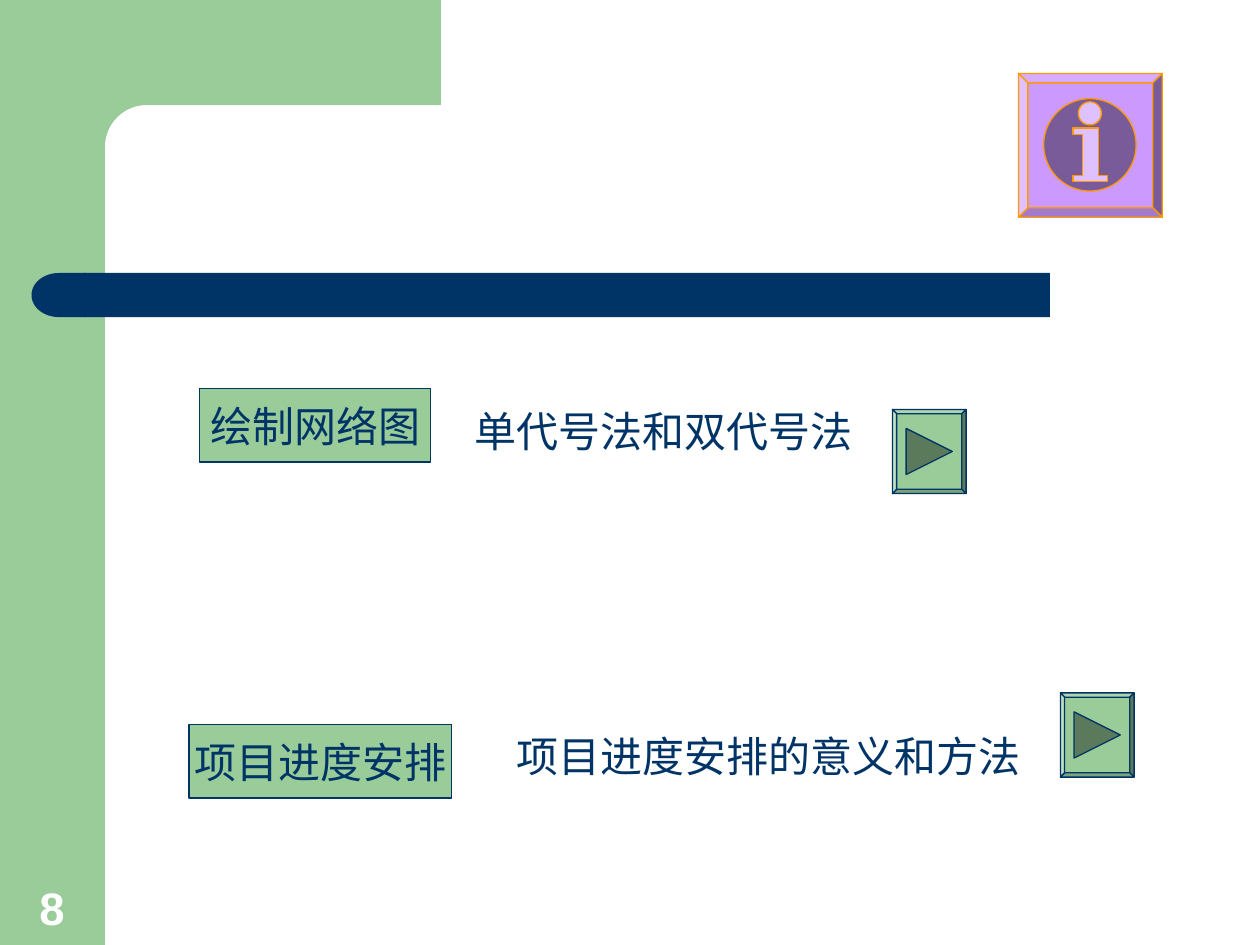
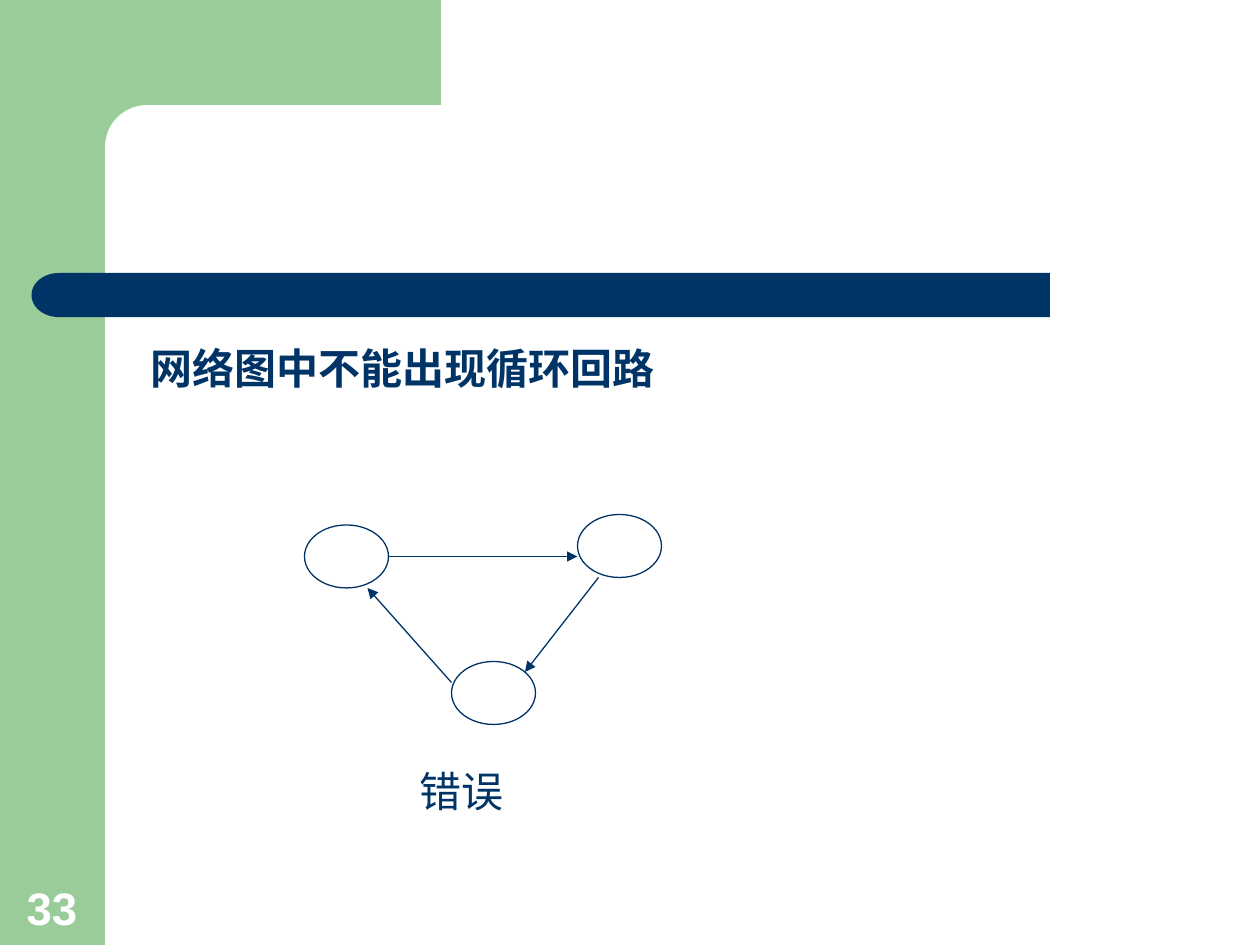
import dataclasses
from typing import Any, Sequence

import lxml.etree
import pptx
import pptx.dml.color
import pptx.enum.shapes
import pptx.enum.text
import pptx.oxml
import pptx.oxml.ns
import pptx.util

PX = 7620  # EMU in one px, 120 px to the inch
SHAPE = pptx.enum.shapes.MSO_SHAPE
ALIGN = pptx.enum.text.PP_ALIGN
ANCHOR = pptx.enum.text.MSO_ANCHOR
HALF_TURN = "10800000"
Point = tuple[int, int]


@dataclasses.dataclass(frozen=True)
class Theme:
    green: str = "99CC99"
    navy: str = "003366"
    white: str = "FFFFFF"
    violet: str = "CC99FF"
    orange: str = "FF9900"
    body_font: str = "Times New Roman"
    chinese_font: str = "Noto Sans CJK SC"
    number_font: str = "Arial"
    body_size: int = 24
    number_size: int = 26
    line_width: float = 0.75


THEME = Theme()


@dataclasses.dataclass(frozen=True)
class Box:
    left: int
    top: int
    width: int
    height: int

    @property
    def center(self) -> Point:
        return self.left + self.width // 2, self.top + self.height // 2

    def corners(self, inset: int = 0) -> tuple[Point, ...]:
        left, top = self.left + inset, self.top + inset
        right, bottom = self.left + self.width - inset, self.top + self.height - inset
        return (left, top), (right, top), (right, bottom), (left, bottom)

    def emu(self) -> tuple[int, int, int, int]:
        return self.left * PX, self.top * PX, self.width * PX, self.height * PX


@dataclasses.dataclass(frozen=True)
class Face:
    """A part of a button; a round face has the two ends of its diameter as points."""
    points: Sequence[Point]
    shade: str
    round: bool = False


@dataclasses.dataclass(frozen=True)
class Topic:
    name: str
    name_box: Box
    summary: str
    summary_box: Box
    button: Box


TOPICS = (
    Topic("绘制网络图", Box(190, 370, 220, 70),
          "单代号法和双代号法", Box(440, 380, 570, 60), Box(850, 390, 70, 80)),
    Topic("项目进度安排", Box(180, 690, 250, 70),
          "项目进度安排的意义和方法", Box(480, 690, 590, 60), Box(1010, 660, 70, 80)),
)
EVENTS = (Box(290, 500, 80, 60), Box(430, 630, 80, 60), Box(550, 490, 80, 60))
ACTIVITIES = (
    ((370, 530), (550, 530)),
    ((570, 550), (500, 640)),
    ((430, 650), (350, 560)),
)
# Outline of the letter's stem, measured from the centre of the button
INFO_STEM = ((-16, -16), (8, -16), (8, 29), (17, 29), (17, 35),
             (-16, 35), (-16, 29), (-7, 29), (-7, -10), (-16, -10))


def rgb(color: str) -> pptx.dml.color.RGBColor:
    return pptx.dml.color.RGBColor.from_string(color)


def paint(shape: Any, fill: str, line: str | None = None) -> None:
    shape.shadow.inherit = False
    shape.fill.solid()
    shape.fill.fore_color.rgb = rgb(fill)
    if line is None:
        shape.line.fill.background()
    else:
        shape.line.color.rgb = rgb(line)
        shape.line.width = pptx.util.Pt(THEME.line_width)


def add_preset(slide: Any, kind: Any, box: Box, fill: str, line: str | None = None) -> Any:
    shape = slide.shapes.add_shape(kind, *box.emu())
    paint(shape, fill, line)
    return shape


def write(shape: Any, text: str, *, font: str = THEME.body_font,
          size: int = THEME.body_size, color: str = THEME.navy, bold: bool = False,
          align: Any = ALIGN.LEFT, anchor: Any = ANCHOR.TOP, wrap: bool = False) -> None:
    frame = shape.text_frame
    frame.text = text
    frame.auto_size = pptx.enum.text.MSO_AUTO_SIZE.NONE
    frame.word_wrap = wrap
    frame.vertical_anchor = anchor
    frame.paragraphs[0].alignment = align
    run = frame.paragraphs[0].runs[0]
    run.font.name, run.font.size, run.font.bold = font, pptx.util.Pt(size), bold
    run.font.color.rgb = rgb(color)
    east_asian = pptx.oxml.parse_xml(
        f'<a:ea {pptx.oxml.ns.nsdecls("a")} typeface="{THEME.chinese_font}"/>')
    run.font._element.find(pptx.oxml.ns.qn("a:latin")).addnext(east_asian)


def add_text(slide: Any, box: Box, text: str, **style: Any) -> None:
    write(slide.shapes.add_textbox(*box.emu()), text, **style)


def add_arrow(slide: Any, start: Point, end: Point) -> None:
    ends = (value * PX for value in (*start, *end))
    arrow = slide.shapes.add_connector(pptx.enum.shapes.MSO_CONNECTOR.STRAIGHT, *ends)
    arrow.line.color.rgb = rgb(THEME.navy)
    arrow.line.width = pptx.util.Pt(THEME.line_width)
    namespace = pptx.oxml.ns.nsdecls("a")
    arrow.line._get_or_add_ln().append(
        pptx.oxml.parse_xml(f'<a:tailEnd {namespace} type="triangle"/>'))
    arrow._element.spPr.append(pptx.oxml.parse_xml(f"<a:effectLst {namespace}/>"))


def shade_faces(button: Any, faces: Sequence[Face]) -> None:
    """Give each contour of a freeform its own shade, and bend the round ones."""
    qn = pptx.oxml.ns.qn
    outline = next(button._element.iter(qn("a:path")))
    steps = iter(list(outline))
    for face in faces:
        contour = lxml.etree.SubElement(outline.getparent(), qn("a:path"), {
            "w": outline.get("w"), "h": outline.get("h"), "fill": face.shade})
        for _ in range(len(face.points) + 1):
            contour.append(next(steps))
        if face.round:
            contour.remove(contour[1])
            radius = str((face.points[1][0] - face.points[0][0]) // 2)
            for position, start in ((1, HALF_TURN), (2, "0")):
                arc = lxml.etree.Element(qn("a:arcTo"), {
                    "wR": radius, "hR": radius, "stAng": start, "swAng": HALF_TURN})
                contour.insert(position, arc)
    outline.getparent().remove(outline)


def add_button(slide: Any, box: Box, symbol: Sequence[Face], fill: str, line: str) -> None:
    """Draw a raised button with its symbol as one shape."""
    outer, inner = box.corners(), box.corners(round(min(box.width, box.height) / 16))
    faces = [Face(outer, "norm")]
    for side, shade in enumerate(("lightenLess", "darken", "darkenLess", "lighten")):
        following = (side + 1) % 4
        faces.append(Face((outer[side], outer[following], inner[following], inner[side]), shade))
    faces.extend(symbol)
    builder = slide.shapes.build_freeform(*outer[0], scale=PX)
    for index, face in enumerate(faces):
        if index:
            builder.move_to(*face.points[0])
        builder.add_line_segments(face.points[1:], close=True)
    button = builder.convert_to_shape()
    shade_faces(button, faces)
    paint(button, fill, line)


def symbol_radius(box: Box) -> int:
    return int(min(box.width, box.height) * 0.325)


def add_next_button(slide: Any, box: Box) -> None:
    radius = symbol_radius(box)
    x, y = box.center
    triangle = ((x - radius, y - radius), (x + radius, y), (x - radius, y + radius))
    add_button(slide, box, [Face(triangle, "darken")], THEME.green, THEME.navy)


def add_info_button(slide: Any, box: Box) -> None:
    radius = symbol_radius(box)
    x, y = box.center
    symbol = (
        Face(((x - radius, y), (x + radius, y)), "darken", round=True),
        Face(((x - 11, y - 30), (x + 11, y - 30)), "lighten", round=True),
        Face([(x + dx, y + dy) for dx, dy in INFO_STEM], "lighten"),
    )
    add_button(slide, box, symbol, THEME.violet, THEME.orange)


def add_slide(deck: Any, layout: str, number: int) -> Any:
    """Add a slide with the shared bands and its page number."""
    slide = deck.slides.add_slide(deck.slide_layouts.get_by_name(layout))
    add_preset(slide, SHAPE.RECTANGLE, Box(0, 0, 100, 900), THEME.green)
    add_preset(slide, SHAPE.RECTANGLE, Box(90, 0, 330, 140), THEME.green)
    corner = add_preset(slide, SHAPE.ROUNDED_RECTANGLE, Box(100, 100, 670, 80), THEME.white)
    corner.adjustments[0] = 0.5
    add_preset(slide, SHAPE.RECTANGLE, Box(80, 260, 920, 42), THEME.navy)
    bar_end = add_preset(slide, SHAPE.FLOWCHART_DELAY, Box(30, 260, 52, 42), THEME.navy)
    bar_end._element.spPr.xfrm.set("flipH", "1")
    add_text(slide, Box(11, 831, 77, 65), str(number), font=THEME.number_font,
             size=THEME.number_size, color=THEME.white, bold=True,
             align=ALIGN.CENTER, anchor=ANCHOR.BOTTOM)
    return slide


def build_topics_slide(deck: Any) -> None:
    slide = add_slide(deck, "Blank", 8)
    for topic in TOPICS:
        label = add_preset(slide, SHAPE.RECTANGLE, topic.name_box, THEME.green, THEME.navy)
        write(label, topic.name, align=ALIGN.CENTER, anchor=ANCHOR.MIDDLE)
        add_text(slide, topic.summary_box, topic.summary, wrap=True)
        add_next_button(slide, topic.button)
    add_info_button(slide, Box(970, 70, 137, 137))


def build_loop_slide(deck: Any) -> None:
    slide = add_slide(deck, "Title Only", 33)
    title = slide.shapes.title
    title.left, title.top, title.width, title.height = Box(131, 320, 520, 60).emu()
    write(title, "网络图中不能出现循环回路", font=THEME.chinese_font, bold=True)
    for event in EVENTS:
        add_preset(slide, SHAPE.OVAL, event, THEME.white, THEME.navy)
    for start, end in ACTIVITIES:
        add_arrow(slide, start, end)
    add_text(slide, Box(388, 723, 103, 60), "错误")


def main() -> None:
    deck = pptx.Presentation()
    deck.slide_width, deck.slide_height = 1200 * PX, 900 * PX
    build_topics_slide(deck)
    build_loop_slide(deck)
    deck.save("out.pptx")


if __name__ == "__main__":
    main()
